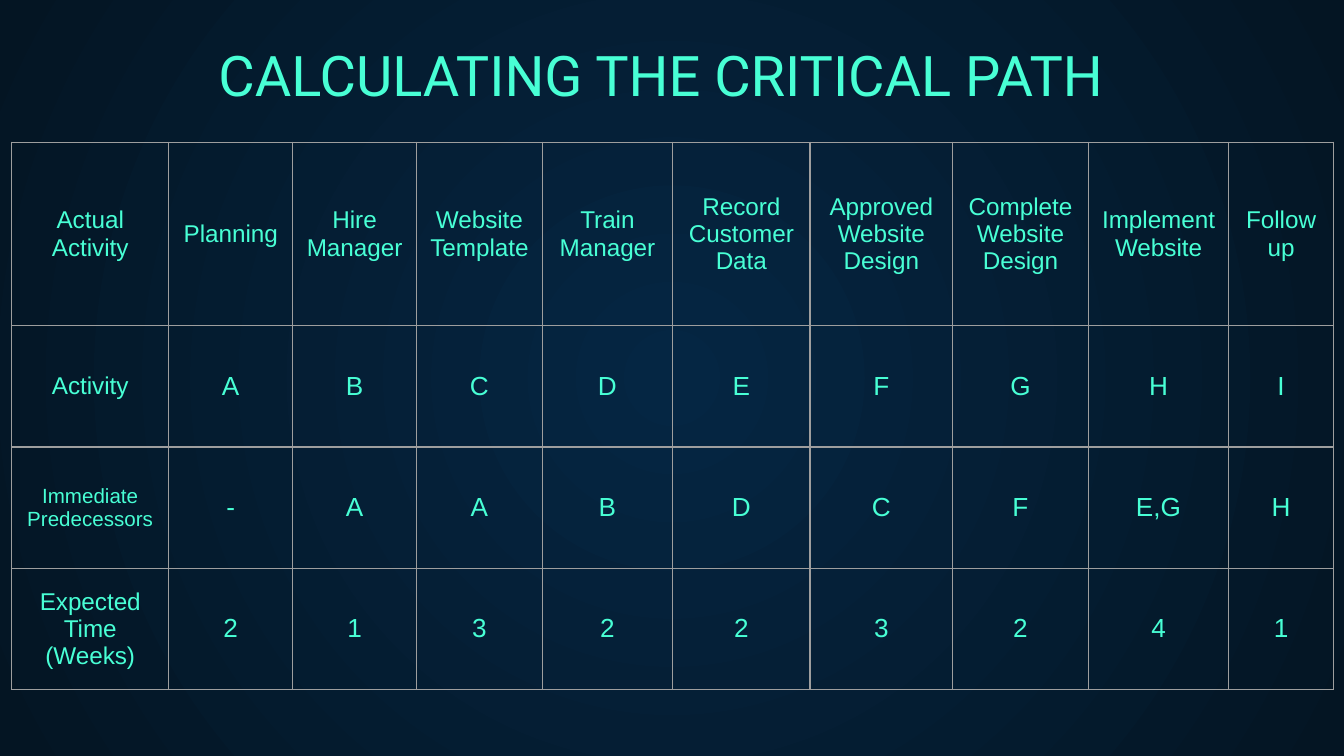
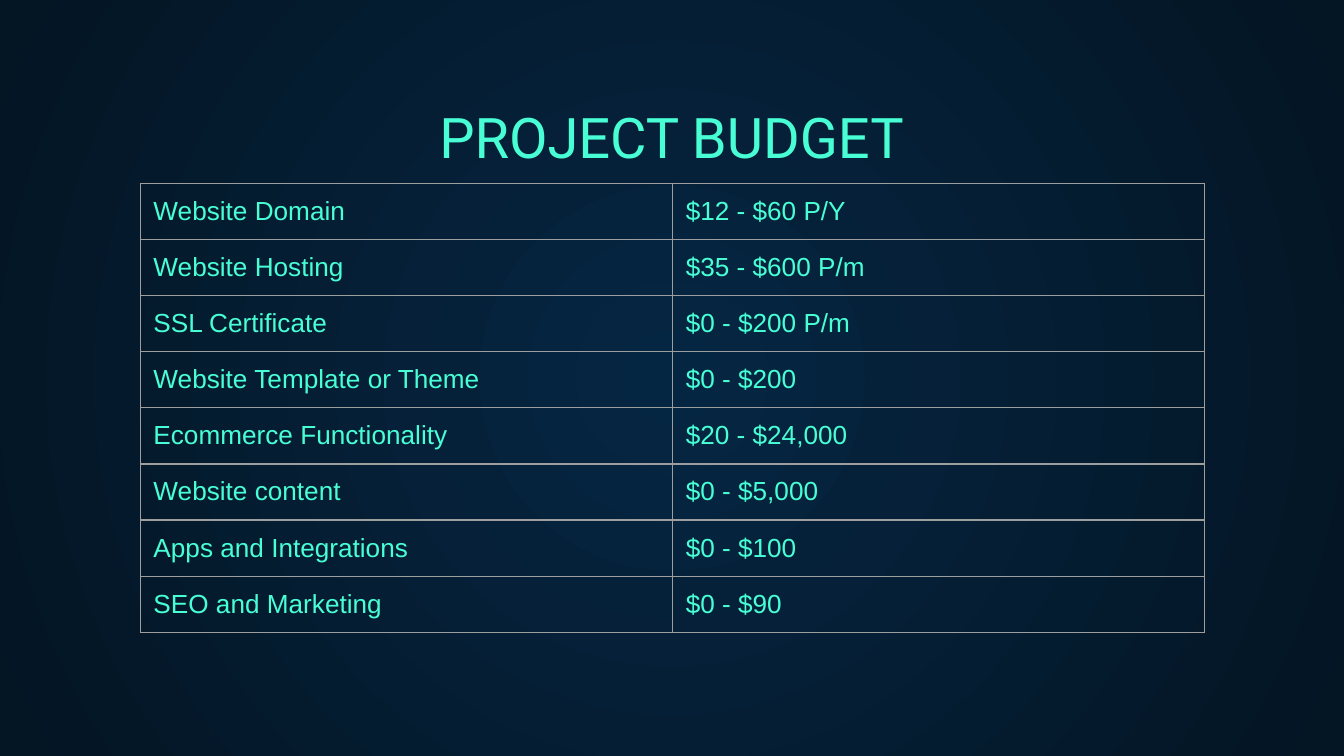
from lxml.etree import SubElement
from pptx import Presentation
from pptx.dml.color import RGBColor
from pptx.enum.text import MSO_ANCHOR, MSO_AUTO_SIZE, PP_ALIGN
from pptx.oxml.ns import qn
from pptx.util import Cm, Pt


def color(value):
    return RGBColor.from_string(value)


class DarkDeck:
    """Shared style, plus the slide being filled."""

    TEXT = "48FFD5"
    GRID = "9E9E9E"
    GLOW, EDGE = "052643", "041523"
    TITLE_FONT, TABLE_FONT = "Roboto", "Arial"
    INSET = Cm(0.25)

    def __init__(self):
        self.deck = Presentation()
        self.deck.slide_width = Cm(25.4)
        self.deck.slide_height = Cm(14.29)
        self.page = None
        self.paint_background()

    def paint_background(self):
        # Radial glow on the master, inherited by every slide
        fill = self.deck.slide_master.background.fill
        fill.gradient()
        for stop, shade in zip(fill.gradient_stops, (self.GLOW, self.EDGE)):
            stop.color.rgb = color(shade)
        gradient = next(self.deck.slide_master.element.iter(qn("a:gradFill")))
        gradient.remove(gradient.find(qn("a:lin")))
        circle = SubElement(gradient, qn("a:path"), path="circle")
        SubElement(circle, qn("a:fillToRect"),
                   l="50000", t="50000", r="50000", b="50000")

    def add_page(self):
        self.page = self.deck.slides.add_slide(self.deck.slide_layouts[5])

    def style(self, paragraph, font_name, size, align):
        paragraph.alignment = align
        paragraph.font.name = font_name
        paragraph.font.size = Pt(size)
        paragraph.font.color.rgb = color(self.TEXT)

    def set_insets(self, target):
        target.margin_left = target.margin_right = self.INSET
        target.margin_top = target.margin_bottom = self.INSET

    def title(self, text, left, top):
        box = self.page.shapes.title
        box.left, box.top = Cm(left), Cm(top)
        box.width, box.height = Cm(23.67), Cm(1.68)
        frame = box.text_frame
        frame.text = text
        frame.auto_size = MSO_AUTO_SIZE.NONE
        frame.vertical_anchor = MSO_ANCHOR.BOTTOM
        self.set_insets(frame)
        self.style(frame.paragraphs[0], self.TITLE_FONT, 30, PP_ALIGN.CENTER)

    def outline(self, cell):
        properties = cell._tc.get_or_add_tcPr()
        for side in ("lnL", "lnR", "lnT", "lnB"):
            line = SubElement(properties, qn(f"a:{side}"), w=str(Pt(0.75)))
            solid = SubElement(line, qn("a:solidFill"))
            SubElement(solid, qn("a:srgbClr"), val=self.GRID)

    def table(self, rows, left, top, widths, heights, size_of, align, anchor):
        frame = self.page.shapes.add_table(
            len(rows), len(widths), Cm(left), Cm(top),
            Cm(sum(widths)), Cm(sum(heights)))
        table = frame.table
        table.first_row = table.horz_banding = False
        for column, width in zip(table.columns, widths):
            column.width = Cm(width)
        for r, (values, height) in enumerate(zip(rows, heights)):
            table.rows[r].height = Cm(height)
            for c, value in enumerate(values):
                cell = table.cell(r, c)
                cell.text = value
                cell.vertical_anchor = anchor
                self.set_insets(cell)
                self.outline(cell)
                cell.fill.background()
                self.style(cell.text_frame.paragraphs[0], self.TABLE_FONT,
                           size_of(r, c), align)


ACTIVITIES = [
    ("Actual Activity", "Planning", "Hire Manager", "Website Template",
     "Train Manager", "Record Customer Data", "Approved Website Design",
     "Complete Website Design", "Implement Website", "Follow up"),
    ("Activity", *"ABCDEFGHI"),
    ("Immediate Predecessors", "-", "A", "A", "B", "D", "C", "F", "E,G", "H"),
    ("Expected Time (Weeks)", *"213223241"),
]

BUDGET = [
    ("Website Domain", "$12 - $60 P/Y"),
    ("Website Hosting", "$35 - $600 P/m"),
    ("SSL Certificate", "$0 - $200 P/m"),
    ("Website Template or Theme", "$0 - $200"),
    ("Ecommerce Functionality", "$20 - $24,000"),
    ("Website content", "$0 - $5,000"),
    ("Apps and Integrations", "$0 - $100"),
    ("SEO and Marketing", "$0 - $90"),
]


def activity_size(row, column):
    if row and column:
        return 14
    return 11 if row == 2 else 13


def main():
    show = DarkDeck()

    # Critical path
    show.add_page()
    show.title("CALCULATING THE CRITICAL PATH", 0.66, 0.61)
    show.table(ACTIVITIES, 0.22, 2.69,
               [2.97, 2.34, 2.34, 2.38, 2.46, 2.6, 2.69, 2.57, 2.65, 1.98],
               [3.47] + [2.29] * 3, activity_size,
               PP_ALIGN.CENTER, MSO_ANCHOR.MIDDLE)

    # Budget
    show.add_page()
    show.title("PROJECT BUDGET", 0.86, 1.78)
    show.table(BUDGET, 2.65, 3.47, [10.06] * 2, [1.06] * len(BUDGET),
               lambda row, column: 14, PP_ALIGN.LEFT, MSO_ANCHOR.TOP)

    show.deck.save("out.pptx")


if __name__ == "__main__":
    main()
